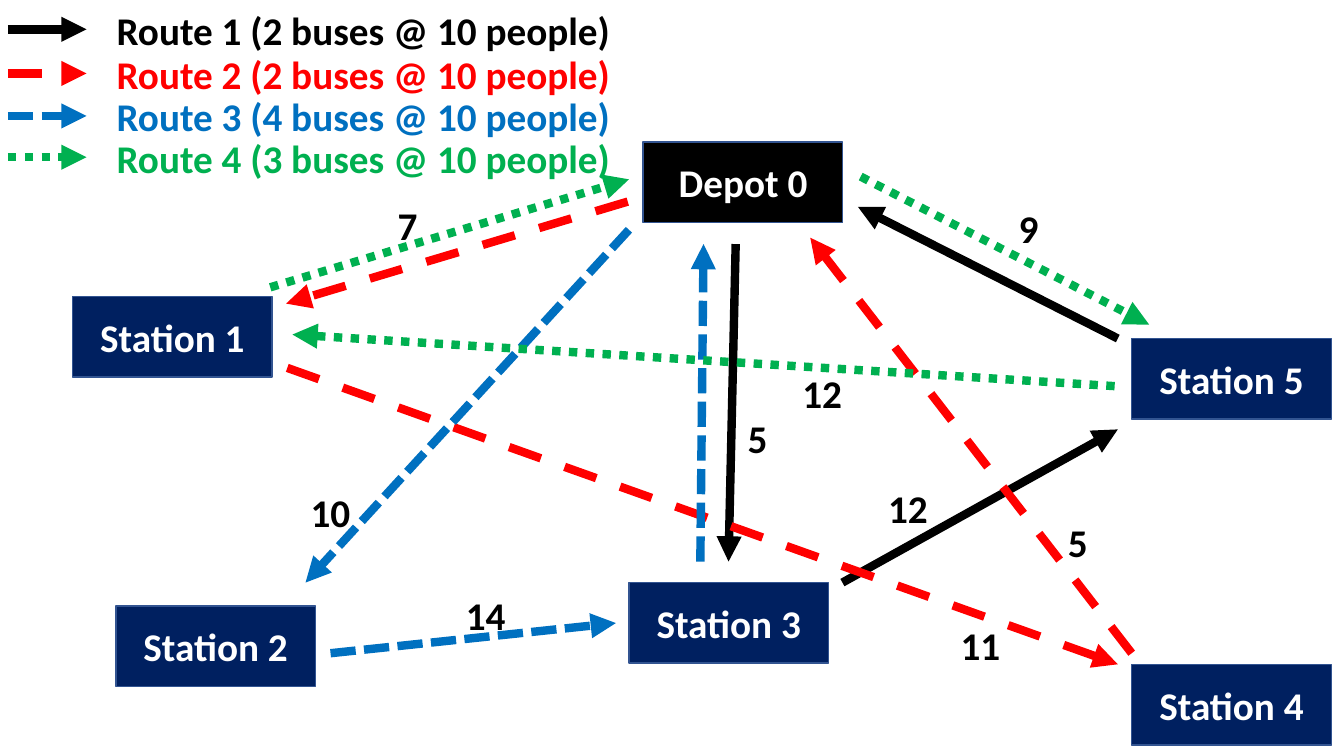
"""Draw a bus route map with a depot, five stations and four routes."""
from lxml import etree
from pptx import Presentation
from pptx.dml.color import RGBColor
from pptx.enum.dml import MSO_LINE
from pptx.enum.shapes import MSO_CONNECTOR, MSO_SHAPE
from pptx.enum.text import MSO_ANCHOR, MSO_AUTO_SIZE, PP_ALIGN
from pptx.oxml.ns import qn
from pptx.util import Cm, Pt

BLACK = RGBColor(0x00, 0x00, 0x00)
WHITE = RGBColor(0xFF, 0xFF, 0xFF)
RED = RGBColor(0xFF, 0x00, 0x00)
BLUE = RGBColor(0x00, 0x70, 0xC0)
GREEN = RGBColor(0x00, 0xB0, 0x50)
NAVY = RGBColor(0x00, 0x20, 0x60)
EDGE = RGBColor(0x32, 0x54, 0x91)

RECT = MSO_SHAPE.RECTANGLE
STRAIGHT = MSO_CONNECTOR.STRAIGHT
SOLID, DASH = MSO_LINE.SOLID, MSO_LINE.DASH
SHORT, DOT = MSO_LINE.SQUARE_DOT, MSO_LINE.ROUND_DOT
MIDDLE = MSO_ANCHOR.MIDDLE
GROW = MSO_AUTO_SIZE.SHAPE_TO_FIT_TEXT
LEFT, CENTER = PP_ALIGN.LEFT, PP_ALIGN.CENTER

FONT, SIZE = "Calibri", Pt(28)
NODE_W, NODE_H, TEXT_H = 5.03, 2.03, 1.45

NODES = [
    ("Depot 0", 16.21, 3.58, BLACK),
    ("Station 1", 1.83, 7.47, NAVY),
    ("Station 2", 2.92, 15.27, NAVY),
    ("Station 3", 15.85, 14.68, NAVY),
    ("Station 4", 28.52, 16.74, NAVY),
    ("Station 5", 28.52, 8.53, NAVY),
]

ROUTES = [
    ("Route 1 (2 buses @ 10 people)", 0.74, BLACK, SOLID, [
        (18.54, 6.15, 18.36, 14.15),
        (21.23, 14.68, 28.17, 10.82),
        (28.17, 8.53, 21.62, 5.21),
    ]),
    ("Route 2 (2 buses @ 10 people)", 1.85, RED, DASH, [
        (15.82, 5.08, 7.21, 7.65),
        (7.24, 9.27, 28.17, 16.74),
        (28.52, 16.46, 20.42, 5.99),
    ]),
    ("Route 3 (4 buses @ 10 people)", 2.92, BLUE, SHORT, [
        (15.85, 5.79, 7.7, 14.68),
        (8.33, 16.46, 15.52, 15.7),
        (17.65, 14.15, 17.73, 6.15),
    ]),
    ("Route 4 (3 buses @ 10 people)", 3.96, GREEN, DOT, [
        (21.69, 4.45, 28.96, 8.18),
        (28.09, 9.73, 7.37, 8.43),
        (6.81, 7.24, 15.85, 4.52),
    ]),
]

COSTS = [
    ("9", 25.4, 5.03),
    ("7", 9.75, 4.95),
    ("12", 19.96, 9.17),
    ("11", 23.95, 15.54),
    ("5", 26.64, 12.93),
    ("5", 18.57, 10.31),
    ("10", 7.57, 12.19),
    ("14", 11.48, 14.78),
    ("12", 22.12, 12.09),
]


def write(frame, text, color, align):
    """Fill a text frame with one bold line."""
    frame.text = text
    line = frame.paragraphs[0]
    line.alignment = align
    font = line.runs[0].font
    font.name, font.size, font.bold = FONT, SIZE, True
    font.color.rgb = color


def add_label(slide, text, left, top, width, color, align):
    """Add a text box that does not wrap."""
    box = slide.shapes.add_textbox(Cm(left), Cm(top), Cm(width), Cm(TEXT_H))
    box.text_frame.word_wrap = False
    box.text_frame.auto_size = GROW
    write(box.text_frame, text, color, align)


def add_node(slide, name, left, top, fill):
    """Add the box of a depot or station."""
    node = slide.shapes.add_shape(
        RECT, Cm(left), Cm(top), Cm(NODE_W), Cm(NODE_H))
    node.shadow.inherit = False
    node.fill.solid()
    node.fill.fore_color.rgb = fill
    node.line.color.rgb = EDGE
    node.line.width = Pt(1)
    node.text_frame.vertical_anchor = MIDDLE
    write(node.text_frame, name, WHITE, CENTER)


def add_arrow(slide, ends, color, dash):
    """Add a thick arrow between two points."""
    arrow = slide.shapes.add_connector(STRAIGHT, *map(Cm, ends))
    arrow.line.color.rgb = color
    arrow.line.width = Pt(6)
    arrow.line.dash_style = dash
    props = arrow._element.spPr
    etree.SubElement(props.find(qn("a:ln")), qn("a:tailEnd"), type="triangle")
    etree.SubElement(props, qn("a:effectLst"))


def add_route(slide, title, level, color, dash, legs):
    """Add the legend line of a route and its legs."""
    add_label(slide, title, 2.69, level - 0.71, 13.08, color, LEFT)
    for ends in [(0.2, level, 2.18, level), *legs]:
        add_arrow(slide, ends, color, dash)


def main():
    """Build and save the slide."""
    deck = Presentation()
    deck.slide_width, deck.slide_height = Cm(33.87), Cm(19.05)
    slide = deck.slides.add_slide(deck.slide_layouts[6])
    for node in NODES:
        add_node(slide, *node)
    for route in ROUTES:
        add_route(slide, *route)
    for cost, left, top in COSTS:
        width = 0.56 + 0.48 * len(cost)
        add_label(slide, cost, left, top, width, BLACK, CENTER)
    deck.save("out.pptx")


if __name__ == "__main__":
    main()
